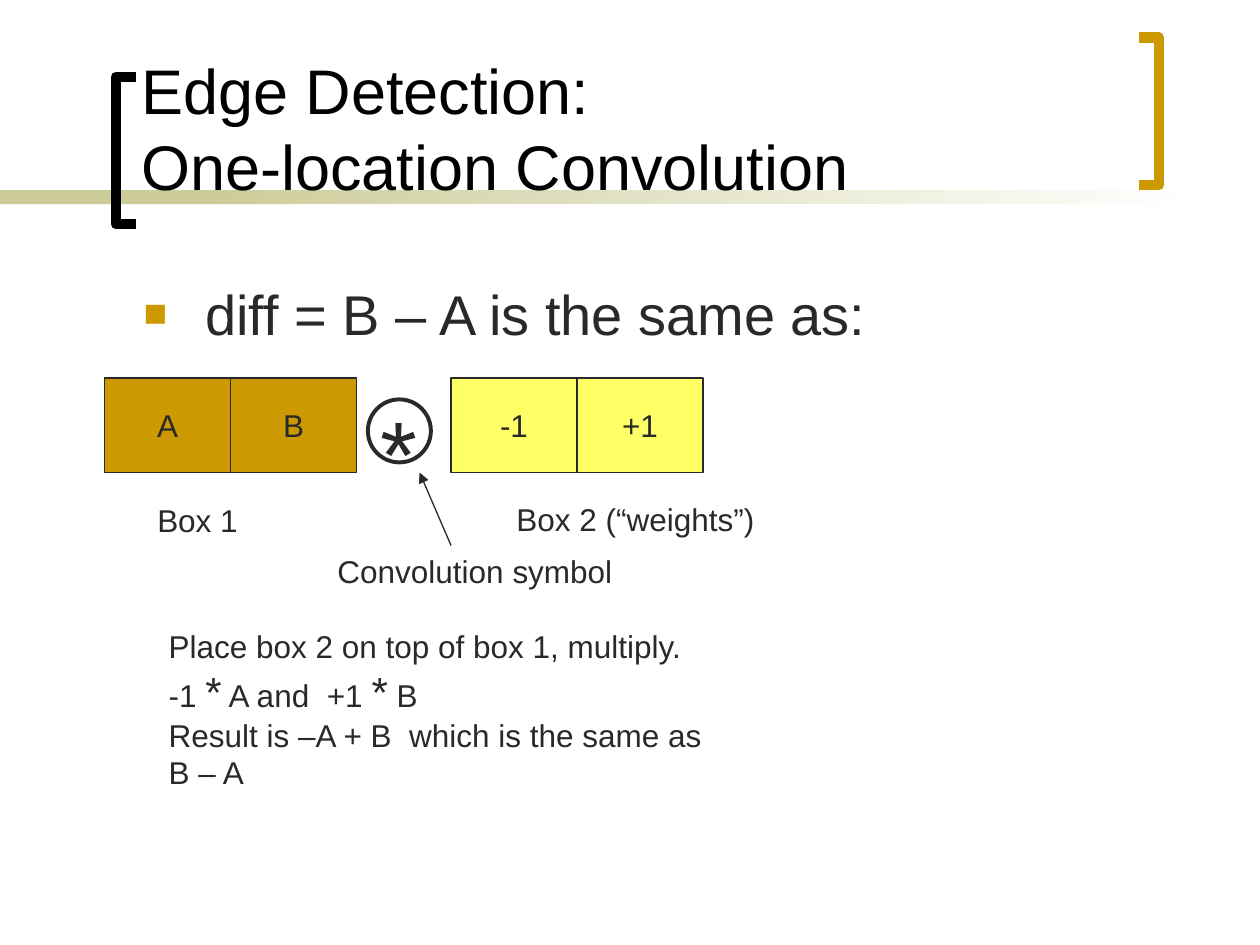
from lxml import etree
from pptx import Presentation
from pptx.dml.color import RGBColor
from pptx.enum.shapes import MSO_CONNECTOR, MSO_SHAPE
from pptx.enum.text import MSO_ANCHOR, MSO_AUTO_SIZE, PP_ALIGN
from pptx.oxml.ns import qn
from pptx.util import Inches, Pt

RECT, OVAL = MSO_SHAPE.RECTANGLE, MSO_SHAPE.OVAL
STRAIGHT = MSO_CONNECTOR.STRAIGHT
TOP, MIDDLE, BOTTOM = MSO_ANCHOR.TOP, MSO_ANCHOR.MIDDLE, MSO_ANCHOR.BOTTOM
LEFT, CENTER = PP_ALIGN.LEFT, PP_ALIGN.CENTER
NO_FIT, GROW = MSO_AUTO_SIZE.NONE, MSO_AUTO_SIZE.SHAPE_TO_FIT_TEXT

FONT = "Arial"
BLACK, INK, WHITE = "000000", "292929", "FFFFFF"
GOLD, YELLOW, SAND = "CC9900", "FFFF66", "CCCC99"


def rgb(color):
    return RGBColor.from_string(color)


def add_run(p, text, size, color=INK):
    r = p.add_run()
    r.text = text
    r.font.name = FONT
    r.font.size = Pt(size)
    r.font.color.rgb = rgb(color)


def style_line(line, color, width):
    line.color.rgb = rgb(color)
    line.width = Pt(width)


def add_shape(s, kind, box, fill=None, line=None, width=0.75):
    sp = s.shapes.add_shape(kind, *map(Inches, box))
    sp.shadow.inherit = False
    if fill:
        sp.fill.solid()
        sp.fill.fore_color.rgb = rgb(fill)
    else:
        sp.fill.background()
    if line:
        style_line(sp.line, line, width)
    else:
        sp.line.fill.background()
    return sp


def add_fading_bar(s, box, start, end):
    sp = add_shape(s, RECT, box)
    sp.fill.gradient()
    sp.fill.gradient_angle = 0
    for stop, color in zip(sp.fill.gradient_stops, (start, end)):
        stop.color.rgb = rgb(color)


def add_bracket(s, tip, spine, top, color):
    bottom = top + 1.17
    points = [(tip, top), (spine, top), (spine, bottom), (tip, bottom)]
    points = [(Inches(x), Inches(y)) for x, y in points]
    builder = s.shapes.build_freeform(*points[0])
    builder.add_line_segments(points[1:], close=False)
    sp = builder.convert_to_shape()
    sp.shadow.inherit = False
    sp.fill.background()
    style_line(sp.line, color, 6)


def add_cells(s, left, labels, fill):
    for i, label in enumerate(labels):
        sp = add_shape(s, RECT, (left + i, 3, 1, 0.75), fill, INK)
        tf = sp.text_frame
        tf.word_wrap = False
        tf.vertical_anchor = MIDDLE
        p = tf.paragraphs[0]
        p.alignment = CENTER
        add_run(p, label, 18)


def add_text(s, box, paragraphs):
    tf = s.shapes.add_textbox(*map(Inches, box)).text_frame
    tf.word_wrap = False
    tf.auto_size = GROW
    for i, runs in enumerate(paragraphs):
        p = tf.add_paragraph() if i else tf.paragraphs[0]
        for text, size in runs:
            add_run(p, text, size)


def add_arrow(s, start, end):
    line = s.shapes.add_connector(STRAIGHT, *map(Inches, start + end))
    style_line(line.line, INK, 0.75)
    sp_pr = line.element.spPr
    etree.SubElement(sp_pr.find(qn("a:ln")), qn("a:tailEnd"), type="triangle")
    etree.SubElement(sp_pr, qn("a:effectLst"))


def place(sp, box, anchor):
    sp.left, sp.top, sp.width, sp.height = map(Inches, box)
    sp.element.getparent().append(sp.element)
    tf = sp.text_frame
    tf.word_wrap = True
    tf.auto_size = NO_FIT
    tf.vertical_anchor = anchor
    p = tf.paragraphs[0]
    p.alignment = LEFT
    return p


def set_bullet(p, char, color, percent):
    p_pr = p._p.get_or_add_pPr()
    p_pr.set("marL", str(Inches(0.49)))
    p_pr.set("indent", str(-Inches(0.49)))
    bu_clr = etree.SubElement(p_pr, qn("a:buClr"))
    etree.SubElement(bu_clr, qn("a:srgbClr"), val=color)
    etree.SubElement(p_pr, qn("a:buSzPct"), val=str(percent * 1000))
    etree.SubElement(p_pr, qn("a:buFont"), typeface=FONT)
    etree.SubElement(p_pr, qn("a:buChar"), char=char)


def add_title(s, lines):
    p = place(s.shapes.title, (1.02, 0.11, 7.83, 1.55), BOTTOM)
    for i, line in enumerate(lines):
        if i:
            p.add_line_break()
        add_run(p, line, 36, BLACK)


def add_body(s, text):
    p = place(s.placeholders[1], (1.04, 2.17, 8.38, 4.5), TOP)
    set_bullet(p, "■", GOLD, 70)
    add_run(p, text, 32)


def main():
    prs = Presentation()
    prs.slide_width, prs.slide_height = Inches(10), Inches(7.5)
    s = prs.slides.add_slide(prs.slide_layouts[1])

    add_shape(s, RECT, (0, 1.51, 2.33, 0.11), SAND)
    add_fading_bar(s, (1.58, 1.51, 7.92, 0.11), SAND, WHITE)
    add_bracket(s, 1.08, 0.92, 0.61, BLACK)
    add_bracket(s, 9.04, 9.2, 0.3, GOLD)
    add_title(s, ["Edge Detection: ", "One-location Convolution"])
    add_body(s, "diff = B – A is the same as:")

    add_cells(s, 0.83, ["A", "B"], GOLD)
    add_cells(s, 3.58, ["-1", "+1"], YELLOW)
    add_text(s, (2.92, 3.08, 0.49, 1), [[("*", 54)]])
    add_shape(s, OVAL, (2.92, 3.17, 0.5, 0.5), line=INK, width=2.25)

    add_text(s, (2.58, 4.33, 2.38, 0.4), [[("Convolution symbol", 18)]])
    add_arrow(s, (3.58, 4.33), (3.33, 3.75))
    add_text(s, (1.15, 3.93, 0.84, 0.4), [[("Box 1", 18)]])
    add_text(s, (4, 3.92, 2.09, 0.4), [[("Box 2 (“weights”)", 18)]])
    add_text(s, (1.24, 4.93, 4.51, 1.4), [
        [("Place box 2 on top of box 1, multiply.", 18)],
        [("-1 ", 18), ("*", 24), (" A and  +1 ", 18), ("*", 24), (" B", 18)],
        [("Result is –A + B  which is the same as", 18)],
        [("B – A", 18)],
    ])
    prs.save("out.pptx")


if __name__ == "__main__":
    main()
